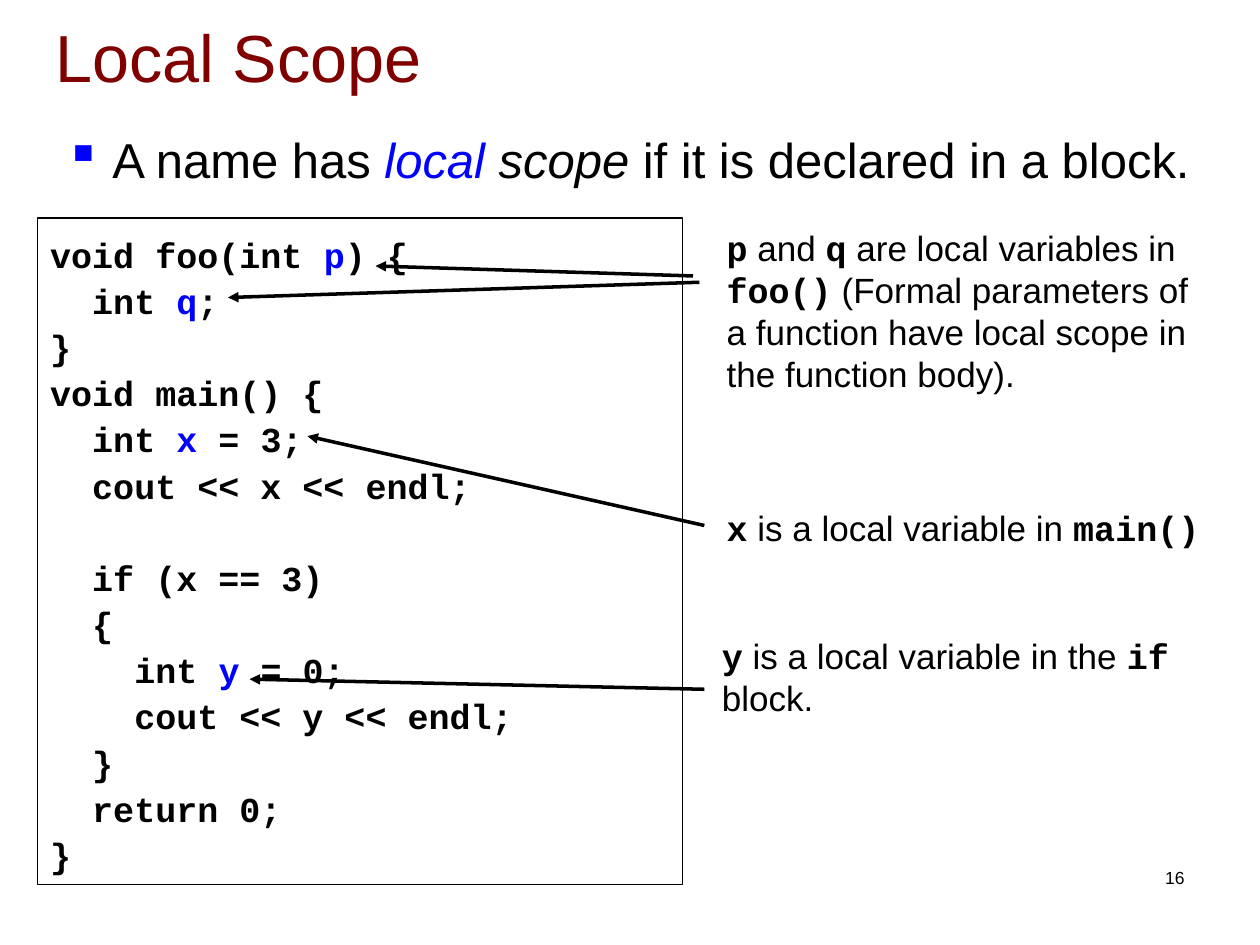
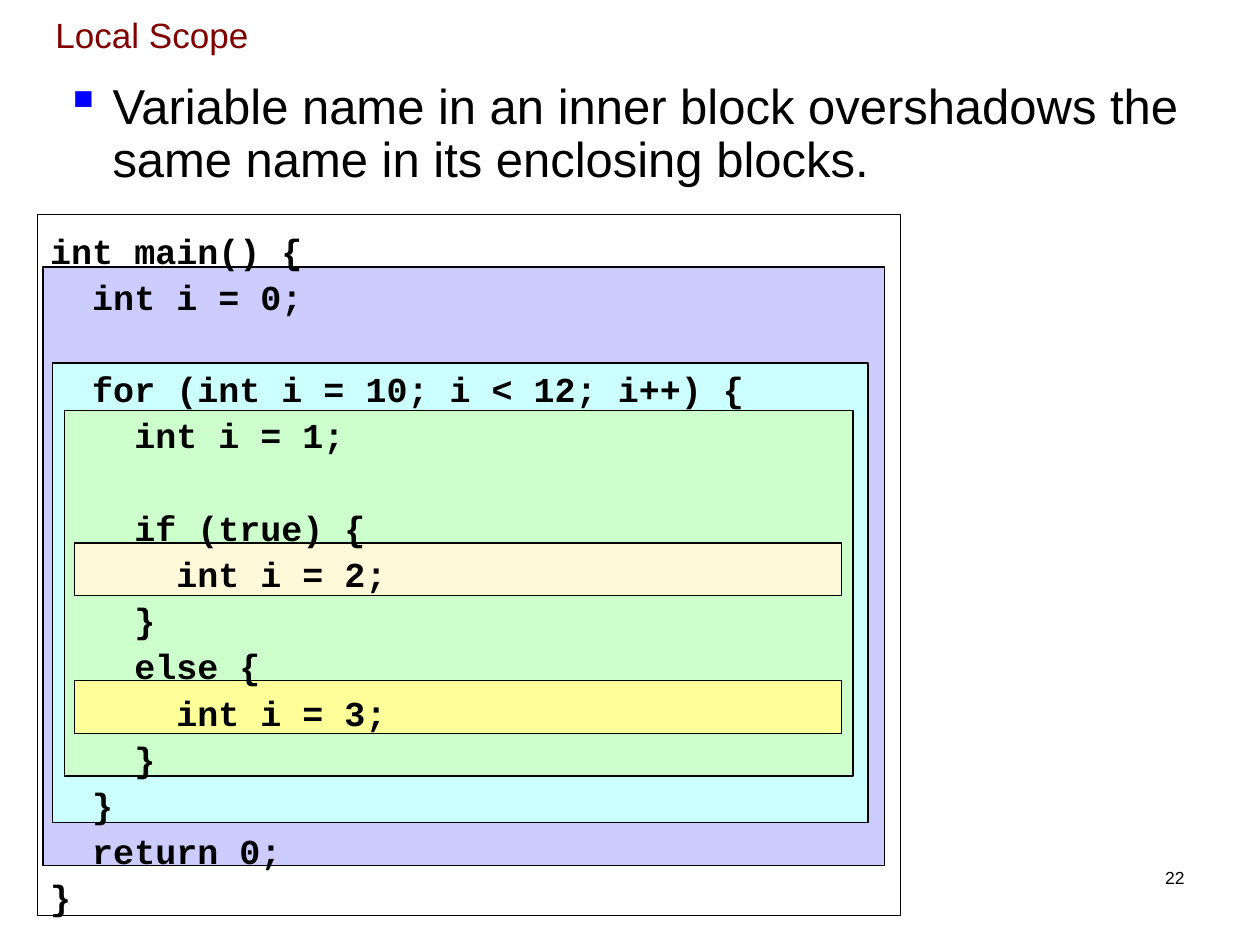
from lxml import etree
from pptx import Presentation
from pptx.dml.color import RGBColor
from pptx.enum.shapes import MSO_CONNECTOR, MSO_SHAPE
from pptx.enum.text import MSO_ANCHOR, MSO_AUTO_SIZE, PP_ALIGN
from pptx.oxml.ns import qn
from pptx.util import Pt

LEFT, RIGHT = PP_ALIGN.LEFT, PP_ALIGN.RIGHT
TOP, MIDDLE = MSO_ANCHOR.TOP, MSO_ANCHOR.MIDDLE
NO_AUTOFIT = MSO_AUTO_SIZE.NONE
RECTANGLE, STRAIGHT = MSO_SHAPE.RECTANGLE, MSO_CONNECTOR.STRAIGHT

BLACK = RGBColor(0x00, 0x00, 0x00)
WHITE = RGBColor(0xFF, 0xFF, 0xFF)
MAROON = RGBColor(0x80, 0x00, 0x00)
BLUE = RGBColor(0x00, 0x00, 0xFF)
LAVENDER = RGBColor(0xCC, 0xCC, 0xFF)
CYAN = RGBColor(0xCC, 0xFF, 0xFF)
GREEN = RGBColor(0xCC, 0xFF, 0xCC)
CREAM = RGBColor(0xFF, 0xF8, 0xD9)
YELLOW = RGBColor(0xFF, 0xFF, 0x99)

SANS, MONO = "Arial", "Courier New"
LINE_HEIGHT = 1.2
CODE_SIZE = 20
BULLET_INDENT = 27

FUNCTION_CODE = """void foo(int *p*) {
  int *q*;
}
void main() {
  int *x* = 3;
  cout << x << endl;

  if (x == 3)
  {
    int *y* = 0;
    cout << y << endl;
  }
  return 0;
}"""
NESTED_CODE = """int main() {
  int i = 0;

  for (int i = 10; i < 12; i++) {
    int i = 1;

    if (true) {
      int i = 2;
    }
    else {
      int i = 3;
    }
  }
  return 0;
}"""
NOTES = [
    ((408.2, 124.6, 293, 118), "`p` and `q` are local variables in `foo()` (Formal parameters"
     " of a function have local scope in the function body)."),
    ((408.2, 285.1, 293, 33), "`x` is a local variable in `main()`"),
    ((405.4, 357.8, 293, 57.6), "`y` is a local variable in the `if `block."),
]
ARROWS = [
    ((380.9, 175.7), (154.1, 124.6)),
    ((380.9, 269.3), (121, 263.5)),
    ((374.4, 33.1), (193, 27.4)),
    ((378, 36.7), (108.7, 45.4)),
]
SCOPES = [
    ((2.9, 30.2, 481, 342), LAVENDER),
    ((8.6, 85, 465.8, 262.8), CYAN),
    ((15.1, 112.3, 450.7, 208.8), GREEN),
    ((20.9, 187.9, 438.5, 30.2), CREAM),
    ((20.9, 266.4, 438.5, 30.2), YELLOW),
]


def points(box):
    """Turn a box of numbers into lengths."""
    return [Pt(value) for value in box]


def prepare_frame(frame, top_inset=3.6, anchor=TOP):
    """Set wrapping, insets and anchor of a text frame."""
    frame.word_wrap = True
    frame.auto_size = NO_AUTOFIT
    frame.vertical_anchor = anchor
    frame.margin_left = frame.margin_right = Pt(7.2)
    frame.margin_top, frame.margin_bottom = Pt(top_inset), Pt(3.6)


def write(paragraph, pieces, size, spacing=1.0, align=LEFT):
    """Fill a paragraph with (text, colour, font, bold, italic) pieces."""
    paragraph.alignment = align
    paragraph.space_before = Pt(0)
    paragraph.line_spacing = Pt(round(size * LINE_HEIGHT * spacing, 1))
    paragraph.font.size = Pt(size)
    for text, colour, face, bold, italic in pieces:
        run = paragraph.add_run()
        run.text = text
        run.font.size, run.font.name = Pt(size), face
        run.font.bold, run.font.italic = bold, italic
        run.font.color.rgb = colour


def plain(text, colour=BLACK, italic=False):
    """Describe a piece of running text."""
    return text, colour, SANS, False, italic


def add_text(slide, box, pieces, size, top_inset=3.6, spacing=1.0, align=LEFT):
    """Add a one-paragraph text box and return its paragraph."""
    frame = slide.shapes.add_textbox(*points(box)).text_frame
    prepare_frame(frame, top_inset)
    write(frame.paragraphs[0], pieces, size, spacing, align)
    return frame.paragraphs[0]


def add_base(deck, number, title_height, title_size):
    """Add a slide with its title and page number."""
    slide = deck.slides.add_slide(deck.slide_layouts.get_by_name("Title Only"))
    title = slide.shapes.title
    title.left, title.top, title.width, title.height = points((24.5, 10.1, 674.6, title_height))
    prepare_frame(title.text_frame, anchor=MIDDLE)
    write(title.text_frame.paragraphs[0], [plain("Local Scope", MAROON)], title_size)
    add_text(slide, (516.2, 491.8, 167.8, 36), [plain(str(number))], 10, align=RIGHT)
    return slide


def add_bullet(slide, box, pieces, spacing=1.0):
    """Add the main statement with its square blue bullet."""
    paragraph = add_text(slide, box, [], 28)
    properties = paragraph._p.get_or_add_pPr()
    properties.set("marL", str(Pt(BULLET_INDENT)))
    properties.set("indent", str(-Pt(BULLET_INDENT)))
    mark_colour = etree.Element(qn("a:buClr"))
    etree.SubElement(mark_colour, qn("a:srgbClr")).set("val", str(BLUE))
    mark = etree.Element(qn("a:buChar"))
    mark.set("char", "▪")
    defaults = properties.find(qn("a:defRPr"))
    defaults.addprevious(mark_colour)
    defaults.addprevious(mark)
    write(paragraph, pieces, 28, spacing)


def add_panel(slide, box, fill=None):
    """Add a thin-edged rectangle, unfilled unless a colour is given."""
    panel = slide.shapes.add_shape(RECTANGLE, *points(box))
    panel.shadow.inherit = False
    panel.line.color.rgb, panel.line.width = BLACK, Pt(0.75)
    if fill is None:
        panel.fill.background()
    else:
        panel.fill.solid()
        panel.fill.fore_color.rgb = fill
    return panel


def add_code(slide, box, code, fill=None):
    """Add a code listing; names between asterisks are blue."""
    frame = add_panel(slide, box, fill).text_frame
    prepare_frame(frame, top_inset=6.2)
    for index, line in enumerate(code.split("\n")):
        paragraph = frame.add_paragraph() if index else frame.paragraphs[0]
        pieces = [(text, BLUE if part % 2 else BLACK, MONO, True, False)
                  for part, text in enumerate(line.split("*")) if text]
        write(paragraph, pieces, CODE_SIZE, 1.1)


def add_note(slide, box, note):
    """Add a remark; code words stand between backticks."""
    pieces = [(text, BLACK, MONO, True, False) if part % 2 else plain(text)
              for part, text in enumerate(note.split("`")) if text]
    add_text(slide, box, pieces, CODE_SIZE, top_inset=4.6)


def add_arrow(slide, box, start, end):
    """Draw an arrow between two points measured from the corner of a box."""
    left, top = box[:2]
    ends = (left + start[0], top + start[1], left + end[0], top + end[1])
    arrow = slide.shapes.add_connector(STRAIGHT, *points(ends))
    arrow.line.color.rgb, arrow.line.width = BLACK, Pt(2)
    etree.SubElement(arrow.line._get_or_add_ln(), qn("a:tailEnd")).set("type", "triangle")
    etree.SubElement(arrow._element.spPr, qn("a:effectLst"))


def build_local_variables(deck):
    """Build the slide that points out local variables in code."""
    slide = add_base(deck, 16, 43.9, 38)
    add_bullet(slide, (30.2, 70.6, 659.5, 50), [
        plain("A name has "), plain("local", BLUE, True),
        plain(" scope ", italic=True), plain("if it is declared in a block.")])
    listing = (21.6, 124.6, 368.6, 380.9)
    add_code(slide, listing, FUNCTION_CODE, WHITE)
    for box, note in NOTES:
        add_note(slide, box, note)
    for start, end in ARROWS:
        add_arrow(slide, listing, start, end)


def build_nested_scopes(deck):
    """Build the slide that colours nested blocks behind code."""
    slide = add_base(deck, 22, 19.4, 20)
    add_bullet(slide, (30.2, 43.2, 668.2, 69.8), [plain(
        "Variable name in an inner block overshadows the same name in its enclosing blocks.")], 0.9)
    listing = (21.6, 122.4, 493.2, 401)
    for (left, top, width, height), colour in SCOPES:
        add_panel(slide, (listing[0] + left, listing[1] + top, width, height), colour)
    add_code(slide, listing, NESTED_CODE)


def main():
    """Build and save the deck."""
    deck = Presentation()
    deck.slide_width, deck.slide_height = Pt(720), Pt(540)
    build_local_variables(deck)
    build_nested_scopes(deck)
    deck.save("out.pptx")


if __name__ == "__main__":
    main()
